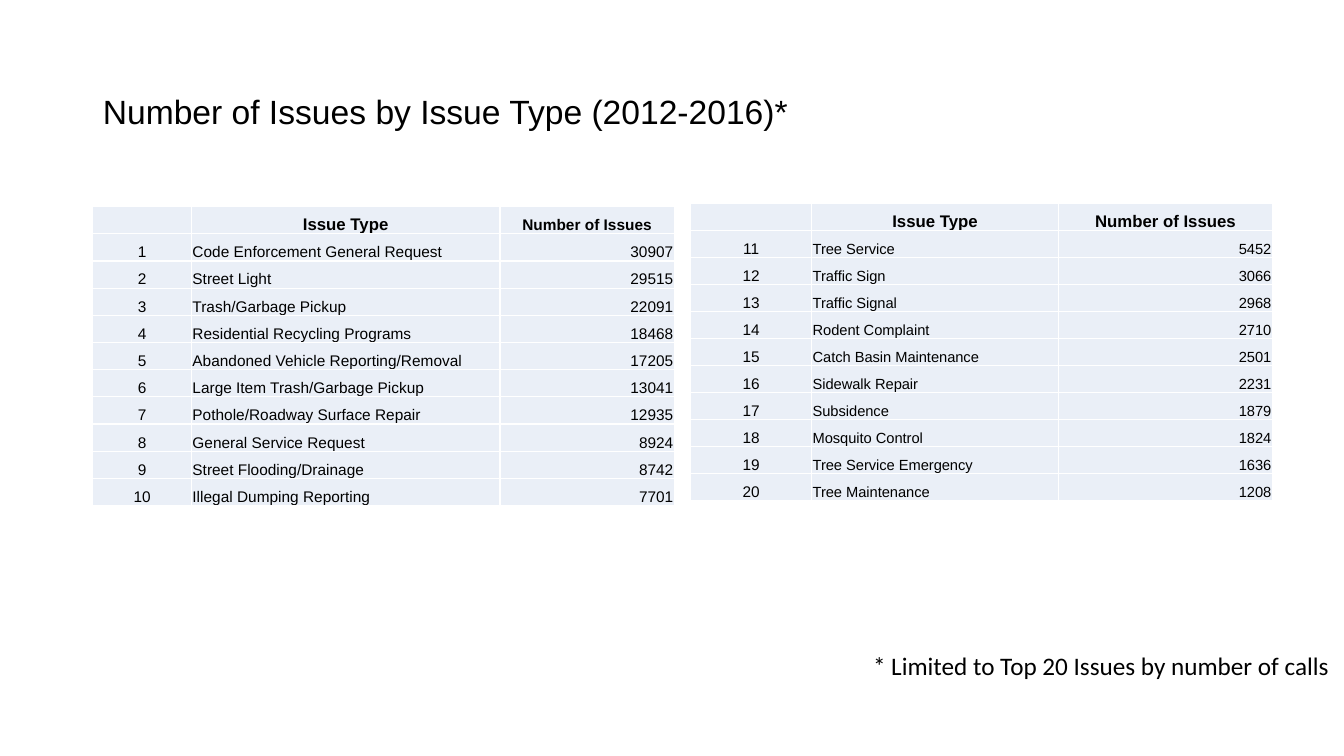
from dataclasses import dataclass
from lxml import etree
from pptx import Presentation, util as u
from pptx.dml.color import RGBColor
from pptx.enum import text
from pptx.oxml import ns


@dataclass(frozen=True)
class Theme:
    ink: str = "000000"
    cell: str = "EAEFF7"
    rule: str = "FFFFFF"
    body_font: str = "Arial"
    note_font: str = "Calibri"
    title_size: float = 24
    note_size: float = 18
    header_size: float = 12
    body_size: float = 11
    compact_size: float = 10.5


theme = Theme()
deck = Presentation()
deck.slide_width, deck.slide_height = u.Inches(13.33), u.Inches(7.5)
slide = deck.slides.add_slide(deck.slide_layouts[5])


def box(left, top, width, height):
    wide, tall = deck.slide_width / 100, deck.slide_height / 100
    return [round(v) for v in (left * wide, top * tall, width * wide, height * tall)]


def write(paragraph, words, size, font=theme.body_font, bold=False):
    run = paragraph.add_run()
    run.text = words
    run.font.size, run.font.name, run.font.bold = u.Pt(size), font, bold
    run.font.color.rgb = RGBColor.from_string(theme.ink)


title = slide.shapes.title
title.left, title.top, title.width, title.height = box(6.9, 5.33, 86.25, 19.33)
title.text_frame.auto_size = text.MSO_AUTO_SIZE.NONE
title.text_frame.vertical_anchor = text.MSO_ANCHOR.MIDDLE
heading = title.text_frame.paragraphs[0]
heading.alignment, heading.line_spacing = text.PP_ALIGN.LEFT, 0.9
write(heading, "Number of Issues by Issue Type (2012-2016)*", theme.title_size)

top_ten = [
    ("Code Enforcement General Request", 30907),
    ("Street Light", 29515),
    ("Trash/Garbage Pickup", 22091),
    ("Residential Recycling Programs", 18468),
    ("Abandoned Vehicle Reporting/Removal", 17205),
    ("Large Item Trash/Garbage Pickup", 13041),
    ("Pothole/Roadway Surface Repair", 12935),
    ("General Service Request", 8924),
    ("Street Flooding/Drainage", 8742),
    ("Illegal Dumping Reporting", 7701),
]
next_ten = [
    ("Tree Service", 5452),
    ("Traffic Sign", 3066),
    ("Traffic Signal", 2968),
    ("Rodent Complaint", 2710),
    ("Catch Basin Maintenance", 2501),
    ("Sidewalk Repair", 2231),
    ("Subsidence", 1879),
    ("Mosquito Control", 1824),
    ("Tree Service Emergency", 1636),
    ("Tree Maintenance", 1208),
]
rankings = [
    (top_ten, 1, (6.9, 27.33, 39.6), (7.35, 22.95, 12.98), theme.body_size, theme.body_size),
    (next_ten, 11, (51.39, 26.93, 39.33), (9, 18.38, 15.9), theme.header_size, theme.compact_size),
]
alignments = (text.PP_ALIGN.CENTER, text.PP_ALIGN.LEFT, text.PP_ALIGN.RIGHT)

for issues, first_rank, (left, top, height), columns, count_header_size, detail_size in rankings:
    rows = [("", "Issue Type", "Number of Issues")]
    rows += [(str(rank), issue, str(count)) for rank, (issue, count) in enumerate(issues, first_rank)]
    ranking = slide.shapes.add_table(len(rows), 3, *box(left, top, sum(columns), height)).table
    ranking.first_row = ranking.horz_banding = False
    for column, share in zip(ranking.columns, columns):
        column.width = round(deck.slide_width * share / 100)
    header_sizes = (theme.header_size, theme.header_size, count_header_size)
    body_sizes = (theme.body_size, detail_size, detail_size)
    for r, row in enumerate(rows):
        sizes = body_sizes if r else header_sizes
        for c, words in enumerate(row):
            cell = ranking.cell(r, c)
            cell.margin_left = cell.margin_right = cell.margin_top = u.Inches(0.01)
            cell.margin_bottom = 0
            cell.vertical_anchor = text.MSO_ANCHOR.BOTTOM
            entry = cell.text_frame.paragraphs[0]
            entry.alignment = alignments[c] if r else text.PP_ALIGN.CENTER
            if words:
                write(entry, words, sizes[c], bold=r == 0)
            else:
                etree.SubElement(entry._p, ns.qn("a:endParaRPr"), sz=str(int(sizes[c] * 100)))
            for side in ("a:lnL", "a:lnR", "a:lnT", "a:lnB"):
                border = etree.SubElement(cell._tc.get_or_add_tcPr(), ns.qn(side), w=str(u.Pt(1)))
                paint = etree.SubElement(border, ns.qn("a:solidFill"))
                etree.SubElement(paint, ns.qn("a:srgbClr"), val=theme.rule)
            cell.fill.solid()
            cell.fill.fore_color.rgb = RGBColor.from_string(theme.cell)

footnote = slide.shapes.add_textbox(*box(64.22, 85.33, 35.78, 5.33)).text_frame
footnote.auto_size = text.MSO_AUTO_SIZE.SHAPE_TO_FIT_TEXT
footnote.word_wrap = False
write(footnote.paragraphs[0], "* Limited to Top 20 Issues by number of calls", theme.note_size, theme.note_font)

deck.save("out.pptx")
